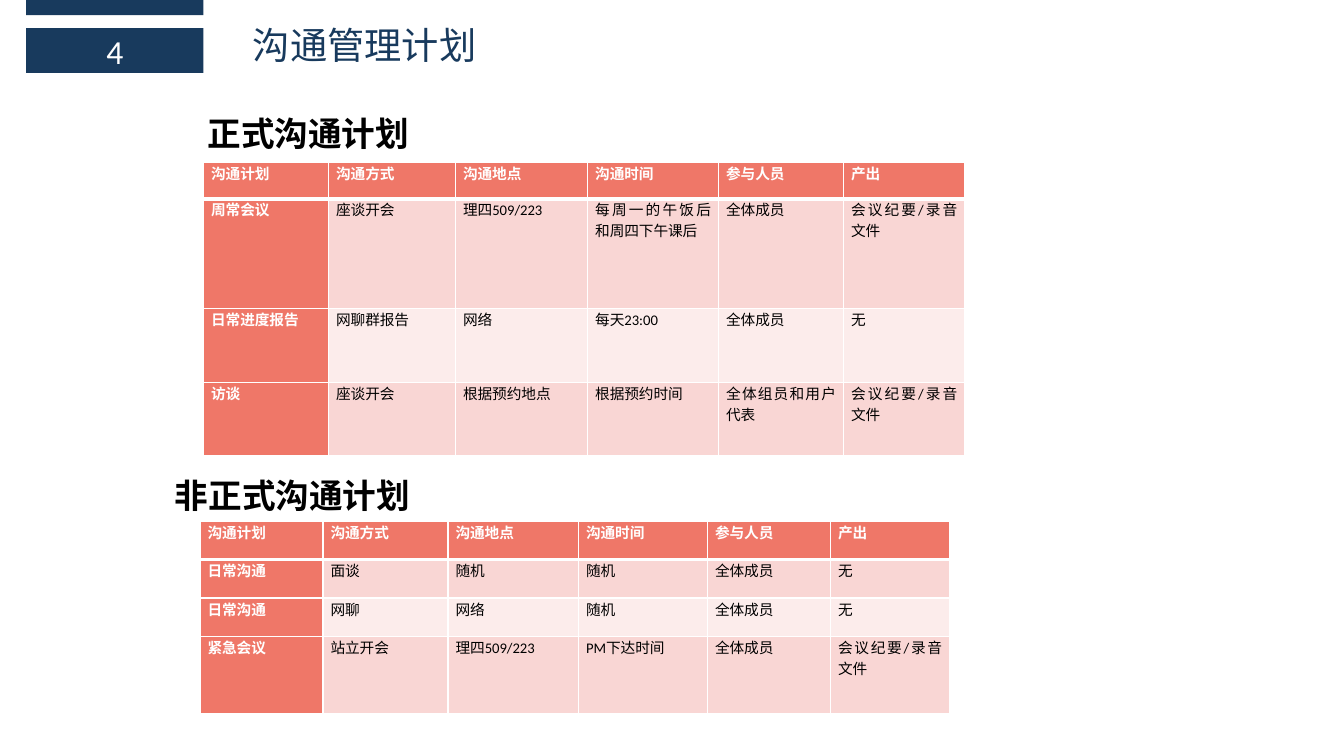
from lxml import etree
from pptx import Presentation
from pptx.dml.color import RGBColor
from pptx.enum.shapes import MSO_SHAPE
from pptx.enum.text import MSO_ANCHOR, MSO_AUTO_SIZE, PP_ALIGN
from pptx.oxml.ns import qn
from pptx.util import Cm, Pt

RECTANGLE = MSO_SHAPE.RECTANGLE
TOP, MIDDLE = MSO_ANCHOR.TOP, MSO_ANCHOR.MIDDLE
LEFT, CENTER, JUSTIFY = PP_ALIGN.LEFT, PP_ALIGN.CENTER, PP_ALIGN.JUSTIFY
NO_AUTOFIT, GROW = MSO_AUTO_SIZE.NONE, MSO_AUTO_SIZE.SHAPE_TO_FIT_TEXT
LATIN_FONT, CHINESE_FONT = "Calibri", "Noto Sans CJK SC"
TITLE_ONLY_LAYOUT = 5

COLORS = {"navy": "183A5D", "coral": "EF7768", "pink": "F9D6D4",
          "pale": "FCECEB", "white": "FFFFFF", "black": "000000"}

# Content (lengths in centimetres)
TITLE = "沟通管理计划"
SECTION_NUMBER = "4"
HEADER = ["沟通计划", "沟通方式", "沟通地点", "沟通时间", "参与人员", "产出"]
PLANS = [
    {
        "heading": "正式沟通计划",
        "heading_box": (1.96, 2.72, 8.71, 1.27),
        "table_corner": (5.13, 4.09),
        "columns": [3.15, 3.2, 3.33, 3.3, 3.15, 3.05],
        "heights": [0.92, 2.77, 1.85, 1.85],
        "rows": [
            ["周常会议", "座谈开会", "理四509/223", "每周一的午饭后和周四下午课后",
             "全体成员", "会议纪要/录音文件"],
            ["日常进度报告", "网聊群报告", "网络", "每天23:00", "全体成员", "无"],
            ["访谈", "座谈开会", "根据预约地点", "根据预约时间",
             "全体组员和用户代表", "会议纪要/录音文件"],
        ],
    },
    {
        "heading": "非正式沟通计划",
        "heading_box": (1.14, 11.84, 9.58, 1.27),
        "table_corner": (5.04, 13.13),
        "columns": [3.1, 3.15, 3.29, 3.25, 3.1, 3.0],
        "heights": [0.97, 0.97, 0.97, 1.93],
        "rows": [
            ["日常沟通", "面谈", "随机", "随机", "全体成员", "无"],
            ["日常沟通", "网聊", "网络", "随机", "全体成员", "无"],
            ["紧急会议", "站立开会", "理四509/223", "PM下达时间",
             "全体成员", "会议纪要/录音文件"],
        ],
    },
]


def color(name):
    return RGBColor.from_string(COLORS[name])


def write(text_frame, text, size, color_name, align, bold=False, latin=LATIN_FONT):
    paragraph = text_frame.paragraphs[0]
    paragraph.text = text
    paragraph.alignment = align
    font = paragraph.font
    font.size, font.bold, font.name = Pt(size), bold, latin
    font.color.rgb = color(color_name)
    properties = paragraph._p.pPr.find(qn("a:defRPr"))
    etree.SubElement(properties, qn("a:ea"), typeface=CHINESE_FONT)
    return paragraph


def add_bar(top, height):
    bar = slide.shapes.add_shape(RECTANGLE, Cm(0.66), Cm(top), Cm(4.47), Cm(height))
    bar.shadow.inherit = False
    bar.fill.solid()
    bar.fill.fore_color.rgb = color("navy")
    bar.line.fill.background()
    return bar


def add_heading(text, box):
    heading = slide.shapes.add_textbox(*map(Cm, box))
    heading.text_frame.word_wrap = False
    heading.text_frame.auto_size = GROW
    paragraph = write(heading.text_frame, text, 24, "black", LEFT, bold=True)
    paragraph.level = 2
    paragraph._p.pPr.set("marL", str(Cm(3.02)))
    paragraph._p.pPr.set("indent", "0")


def set_borders(cell, widths):
    for side, width in widths.items():
        line = etree.SubElement(cell._tc.get_or_add_tcPr(), qn(f"a:ln{side}"), w=str(Pt(width)))
        fill = etree.SubElement(line, qn("a:solidFill"))
        etree.SubElement(fill, qn("a:srgbClr"), val=COLORS["white"])


def add_plan_table(plan):
    rows = [HEADER] + plan["rows"]
    columns, heights = plan["columns"], plan["heights"]
    left, top = plan["table_corner"]
    table = slide.shapes.add_table(len(rows), len(columns), Cm(left), Cm(top),
                                   Cm(sum(columns)), Cm(sum(heights))).table
    table.first_col = True
    for column, width in zip(table.columns, columns):
        column.width = Cm(width)
    for row_index, (row, texts) in enumerate(zip(table.rows, rows)):
        row.height = Cm(heights[row_index])
        for column_index, (cell, text) in enumerate(zip(row.cells, texts)):
            is_header = row_index == 0 or column_index == 0
            band = "pink" if row_index % 2 else "pale"
            set_borders(cell, {"L": 1, "R": 1, "T": 3 if row_index == 1 else 1,
                               "B": 3 if row_index == 0 else 1})
            cell.fill.solid()
            cell.fill.fore_color.rgb = color("coral" if is_header else band)
            cell.margin_left = cell.margin_right = Cm(0.19)
            cell.margin_top = cell.margin_bottom = 0
            write(cell.text_frame, text, 10.5, "white" if is_header else "black",
                  JUSTIFY, bold=is_header)


presentation = Presentation()
presentation.slide_width, presentation.slide_height = Cm(33.87), Cm(19.05)
slide = presentation.slides.add_slide(presentation.slide_layouts[TITLE_ONLY_LAYOUT])

# Section number bars
add_bar(0, 0.38)
number_bar = add_bar(0.71, 1.13)
number_bar.text_frame.vertical_anchor = MIDDLE
write(number_bar.text_frame, SECTION_NUMBER, 24, "white", CENTER)

# Title
title = slide.shapes.title
title.left, title.top, title.width, title.height = Cm(6.12), Cm(0.43), Cm(16.81), Cm(1.4)
title.text_frame.auto_size = NO_AUTOFIT
title.text_frame.vertical_anchor = TOP
write(title.text_frame, TITLE, 26.6, "navy", LEFT, latin=CHINESE_FONT)

# Plans
for plan in PLANS:
    add_heading(plan["heading"], plan["heading_box"])
    add_plan_table(plan)

presentation.save("out.pptx")
